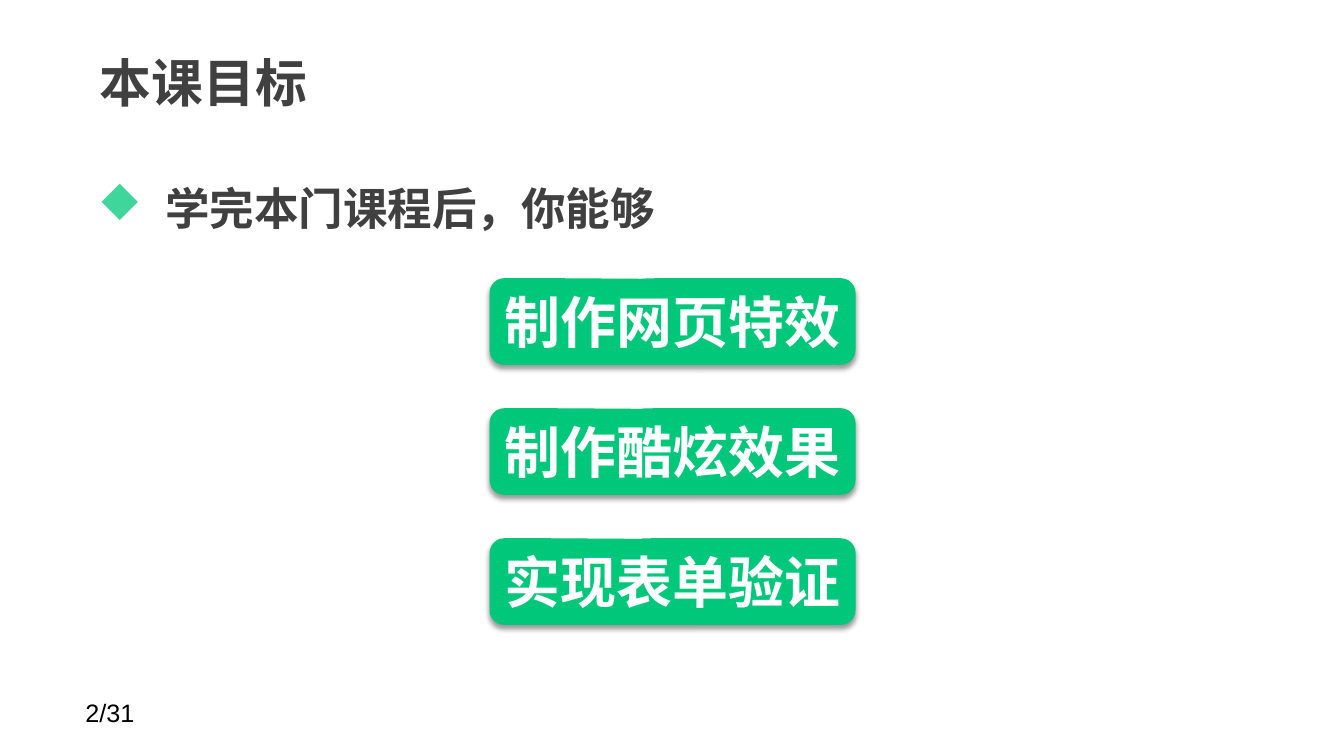
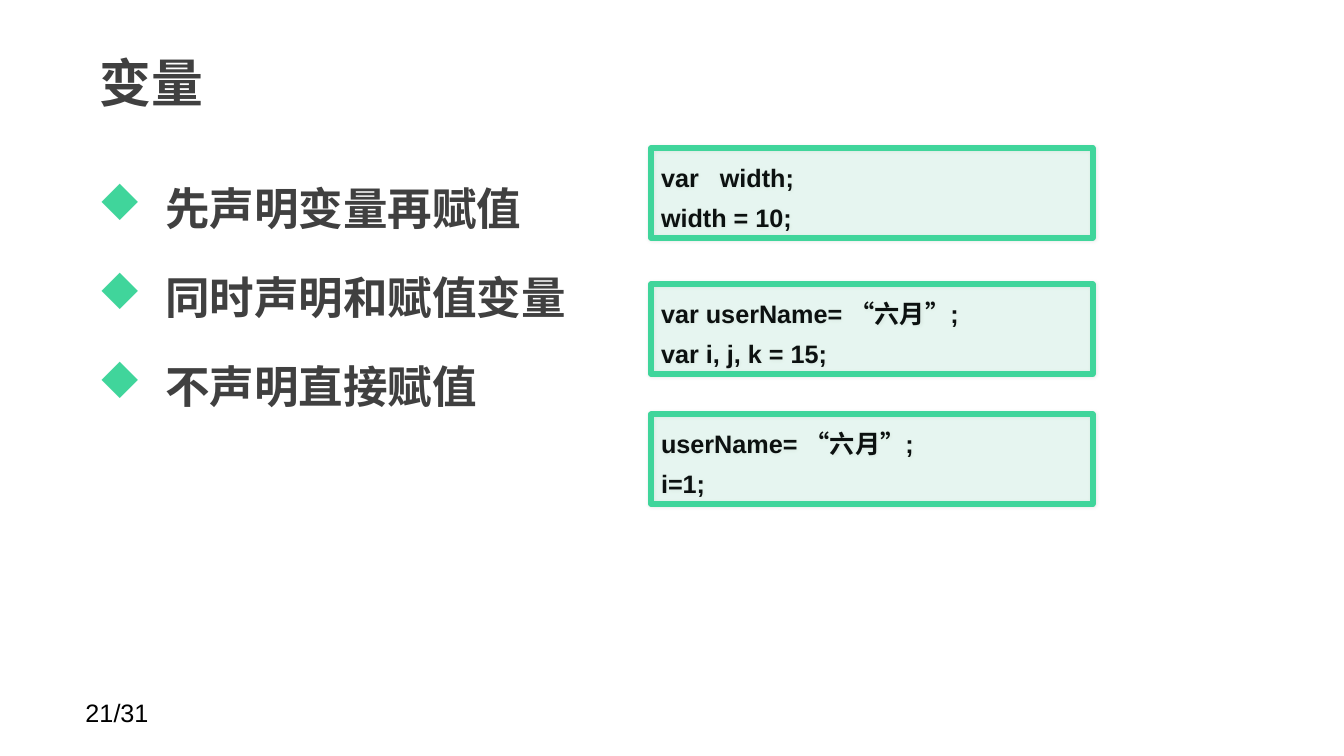
from lxml.etree import SubElement
from pptx import Presentation
from pptx.dml.color import RGBColor
from pptx.enum.shapes import MSO_SHAPE
from pptx.enum.text import MSO_ANCHOR, PP_ALIGN
from pptx.oxml.ns import qn
from pptx.util import Pt

COLORS = {
    "heading": "404040",
    "footer": "000000",
    "marker": "40D59B",
    "goal": "00C77A",
    "goal_text": "FFFFFF",
    "code_fill": "A6EBD1",
    "code_text": "0C1110",
    "shadow": "000000",
}
LATIN_FONT = "Arial"
CHINESE_FONT = "Noto Sans CJK SC"
PAGE_COUNT = 31
TITLE_BOX = (61.9, 21.6, 749.5, 74.2)
BODY_BOX = (60.5, 103, 841.7, 379.4)
FOOTER_BOX = (54, 494.6, 167.8, 28.8)
GOALS_BOX = (349.7, 198.7, 261.4, 247.7)
CODE_BOX = (465.1, 105.8, 315.4, 254.2)


def color(name):
    return RGBColor.from_string(COLORS[name])


def write(shape, lines, size, color_name, font=LATIN_FONT, bold=True):
    shape.text_frame.text = "\n".join(lines)
    for paragraph in shape.text_frame.paragraphs:
        for run in paragraph.runs:
            run.font.size = Pt(size)
            run.font.bold = bold
            run.font.name = font
            run.font.color.rgb = color(color_name)
            SubElement(run.font._element, qn("a:ea"), typeface=CHINESE_FONT)
    return shape.text_frame.paragraphs


def add_text_box(slide, box, horizontal_inset=7.2, vertical_inset=3.6):
    shape = slide.shapes.add_textbox(*map(Pt, box))
    frame = shape.text_frame
    frame.word_wrap = True
    frame.margin_left = frame.margin_right = Pt(horizontal_inset)
    frame.margin_top = frame.margin_bottom = Pt(vertical_inset)
    return shape


def add_panel(slide, kind, box, adjustments, fill):
    shape = slide.shapes.add_shape(kind, *map(Pt, box))
    for index, value in enumerate(adjustments):
        shape.adjustments[index] = value
    shape.fill.solid()
    shape.fill.fore_color.rgb = color(fill)
    return shape


def add_shadow(shape, opacity, blur, distance=0, angle=0):
    shape.shadow.inherit = False
    effects = shape._element.spPr.find(qn("a:effectLst"))
    shadow = SubElement(
        effects, qn("a:outerShdw"), blurRad=str(Pt(blur)), dist=str(Pt(distance)),
        dir=str(angle * 60000), algn="ctr", rotWithShape="0",
    )
    shadow_color = SubElement(shadow, qn("a:srgbClr"), val=COLORS["shadow"])
    SubElement(shadow_color, qn("a:alpha"), val=str(opacity * 1000))


def add_title(slide, box, title):
    shape = add_text_box(slide, box, 9.4, 4.3)
    shape.text_frame.vertical_anchor = MSO_ANCHOR.MIDDLE
    write(shape, [title], 37, "heading", CHINESE_FONT)


def add_footer(slide, box, page):
    shape = add_text_box(slide, box)
    write(shape, [f"{page}/{PAGE_COUNT}"], 18, "footer", bold=False)


def add_bullets(slide, box, lines):
    shape = add_text_box(slide, box, 9.4, 4.3)
    for paragraph in write(shape, lines, 31.8, "heading", CHINESE_FONT):
        paragraph.line_spacing = Pt(60)
        paragraph.space_after = Pt(3.6)
        properties = paragraph._p.get_or_add_pPr()
        properties.set("marL", str(Pt(48)))
        properties.set("indent", str(Pt(-48)))
        marker_color = SubElement(properties, qn("a:buClr"))
        SubElement(marker_color, qn("a:srgbClr"), val=COLORS["marker"])
        SubElement(properties, qn("a:buFont"), typeface="Wingdings", charset="2")
        SubElement(properties, qn("a:buChar"), char="u")


def add_goals(slide, box, goals, height=61.9):
    left, top, width, total = box
    pitch = (total - height) / (len(goals) - 1)
    for index, goal in enumerate(goals):
        shape = add_panel(
            slide, MSO_SHAPE.ROUNDED_RECTANGULAR_CALLOUT,
            (left, top + index * pitch, width, height), (0, -0.49, 0.17), "goal",
        )
        shape.line.fill.background()
        add_shadow(shape, 40, 4, 3, 90)
        shape.text_frame.word_wrap = False
        shape.text_frame.vertical_anchor = MSO_ANCHOR.MIDDLE
        for paragraph in write(shape, [goal], 40, "goal_text"):
            paragraph.alignment = PP_ALIGN.CENTER


def add_code_samples(slide, box, samples, height=64.1):
    left, top, width, _ = box
    for offset, lines in samples:
        shape = add_panel(
            slide, MSO_SHAPE.ROUNDED_RECTANGLE,
            (left, top + offset, width, height), (0,), "code_fill",
        )
        fill_color = shape._element.spPr.find(qn("a:solidFill"))[0]
        SubElement(fill_color, qn("a:alpha"), val="22000")
        shape.line.color.rgb = color("marker")
        shape.line.width = Pt(4)
        add_shadow(shape, 10, 3)
        shape.text_frame.word_wrap = True
        shape.text_frame.vertical_anchor = MSO_ANCHOR.TOP
        for paragraph in write(shape, lines, 18, "code_text"):
            paragraph.alignment = PP_ALIGN.LEFT
            paragraph.line_spacing = Pt(28.3)
            tabs = SubElement(paragraph._p.get_or_add_pPr(), qn("a:tabLst"))
            SubElement(tabs, qn("a:tab"), pos=str(Pt(42)), algn="l")


def add_lesson_slide(presentation, page, title, bullets):
    slide = presentation.slides.add_slide(presentation.slide_layouts[6])
    add_footer(slide, FOOTER_BOX, page)
    add_title(slide, TITLE_BOX, title)
    add_bullets(slide, BODY_BOX, bullets)
    return slide


def main():
    presentation = Presentation()
    presentation.slide_width = Pt(960)
    presentation.slide_height = Pt(540)

    goals_slide = add_lesson_slide(presentation, 2, "本课目标", ["学完本门课程后，你能够"])
    add_goals(goals_slide, GOALS_BOX, ["制作网页特效", "制作酷炫效果", "实现表单验证"])

    variables_slide = add_lesson_slide(
        presentation, 21, "变量",
        ["先声明变量再赋值", "同时声明和赋值变量", "不声明直接赋值"],
    )
    add_code_samples(variables_slide, CODE_BOX, [
        (0, ["var\twidth;", "width = 10;"]),
        (97.2, ["var userName= “六月”;", "var i, j, k = 15;"]),
        (190.1, ["userName= “六月”;", "i=1;"]),
    ])
    presentation.save("out.pptx")


if __name__ == "__main__":
    main()
